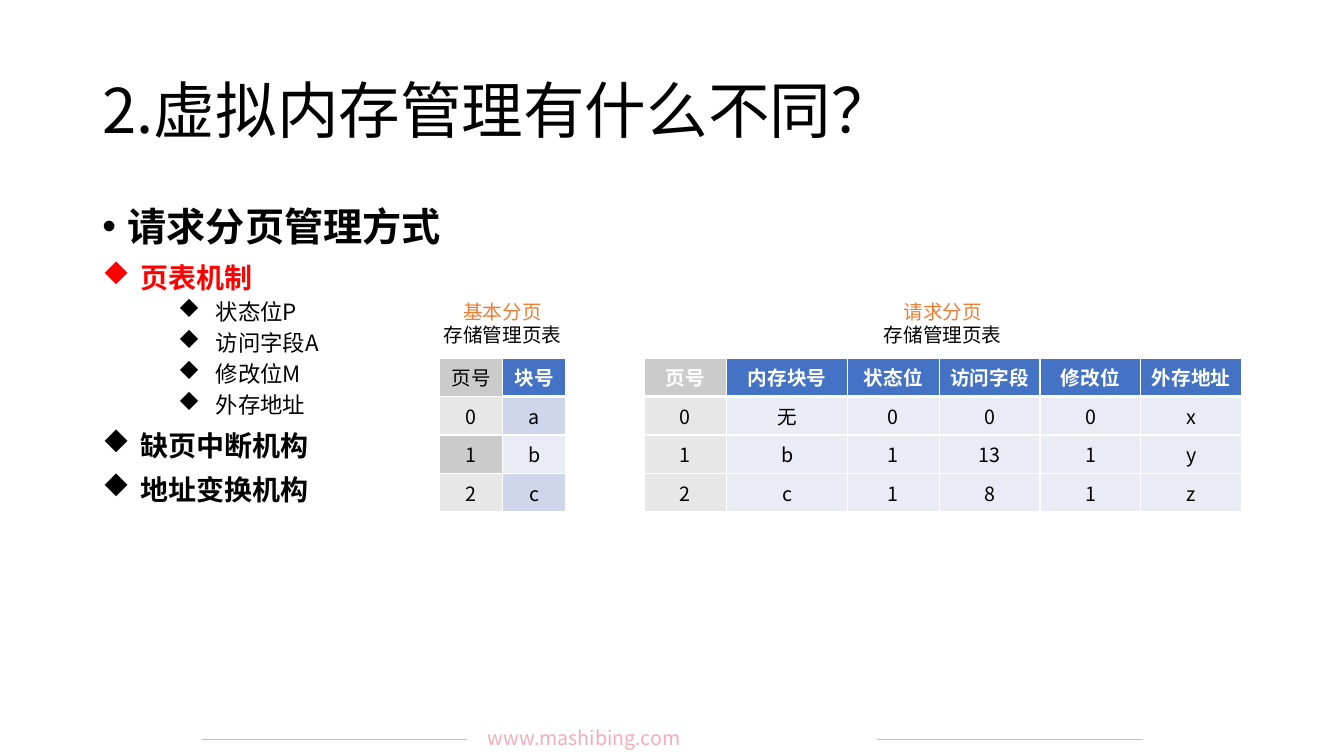
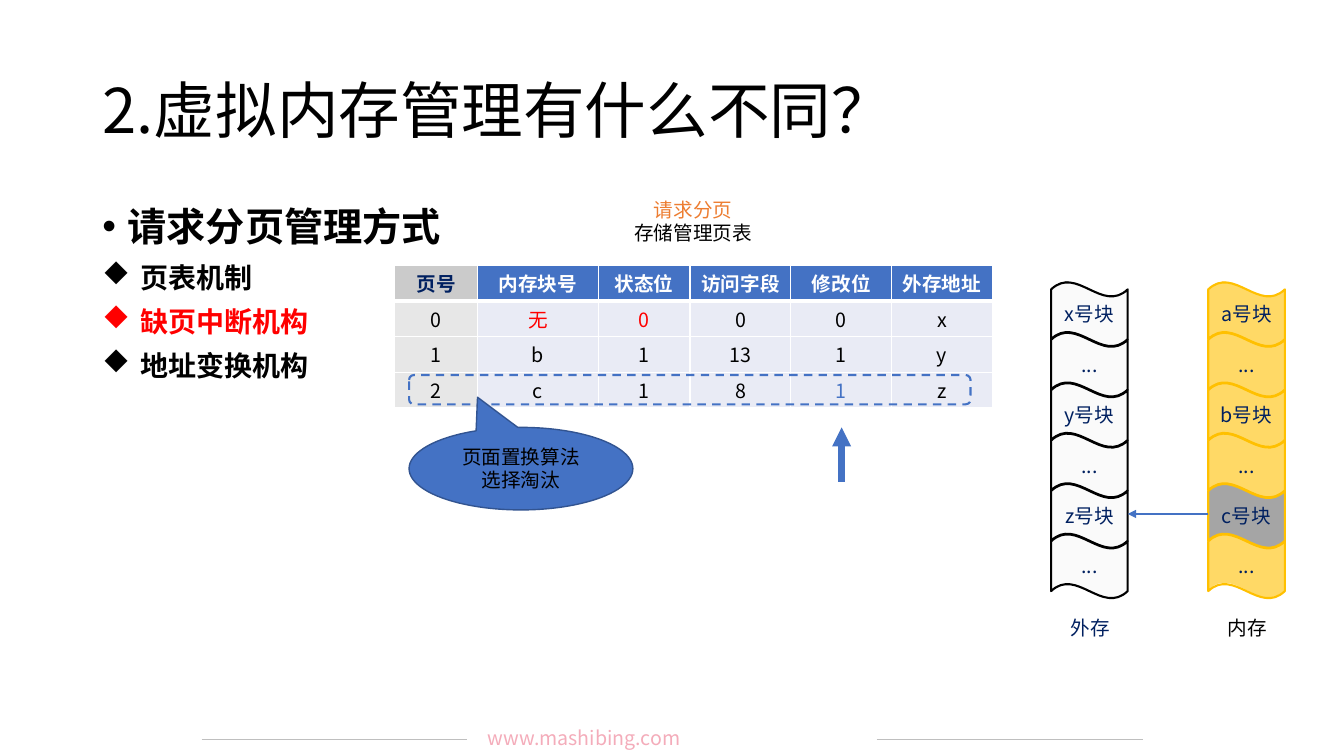
"""Build two slides on demand paging in virtual memory management."""
from lxml import etree
from pptx import Presentation
from pptx.dml.color import RGBColor
from pptx.enum.dml import MSO_LINE
from pptx.enum.shapes import MSO_CONNECTOR, MSO_SHAPE
from pptx.enum.text import MSO_ANCHOR, PP_ALIGN
from pptx.oxml.ns import qn
from pptx.util import Cm, Pt

LEFT, CENTER = PP_ALIGN.LEFT, PP_ALIGN.CENTER
MIDDLE = MSO_ANCHOR.MIDDLE
STRAIGHT = MSO_CONNECTOR.STRAIGHT
WAVE, ROUNDED = MSO_SHAPE.WAVE, MSO_SHAPE.ROUNDED_RECTANGLE
CALLOUT = MSO_SHAPE.OVAL_CALLOUT
DASH = MSO_LINE.DASH

FONT = "Noto Sans CJK SC"
BLACK = RGBColor(0x00, 0x00, 0x00)
WHITE = RGBColor(0xFF, 0xFF, 0xFF)
RED = RGBColor(0xFF, 0x00, 0x00)
NAVY = RGBColor(0x00, 0x20, 0x60)
BLUE = RGBColor(0x44, 0x72, 0xC4)
DARK_BLUE = RGBColor(0x32, 0x54, 0x91)
ORANGE = RGBColor(0xED, 0x7D, 0x31)
PINK = RGBColor(0xF4, 0xAC, 0xBA)
RULE_GREY = RGBColor(0xBF, 0xBF, 0xBF)
KEY_HEAD = RGBColor(0xCB, 0xCB, 0xCB)
KEY_BODY = RGBColor(0xE7, 0xE7, 0xE7)
BAND_DARK = RGBColor(0xCF, 0xD5, 0xEA)
BAND_LIGHT = RGBColor(0xE9, 0xEB, 0xF5)
PAPER = RGBColor(0xFA, 0xFA, 0xFA)
YELLOW = RGBColor(0xFF, 0xD9, 0x66)
GOLD = RGBColor(0xFF, 0xC0, 0x00)
GREY = RGBColor(0xA5, 0xA5, 0xA5)


def write(frame, text, size=14, color=BLACK, bold=False, align=CENTER, spacing=Pt(16.4),
          before=0, bullet=None, indent=0, hanging=0):
    """Write text into the empty first paragraph of a frame, or into a new one."""
    paragraph = frame.paragraphs[0]
    if paragraph.runs:
        paragraph = frame.add_paragraph()
        paragraph.space_before = Pt(before)
    if bullet:
        bullet_font, bullet_char = bullet
        properties = paragraph._p.get_or_add_pPr()
        properties.set("marL", str(Cm(indent)))
        properties.set("indent", str(-Cm(hanging)))
        etree.SubElement(properties, qn("a:buFont"), typeface=bullet_font)
        etree.SubElement(properties, qn("a:buChar"), char=bullet_char)
    paragraph.alignment = align
    paragraph.line_spacing = spacing
    run = paragraph.add_run()
    run.text = text
    run.font.size = Pt(size)
    run.font.bold = bold
    run.font.color.rgb = color
    run.font.name = FONT
    etree.SubElement(run._r.get_or_add_rPr(), qn("a:ea"), typeface=FONT)


def add_page_table(slide, left, top, widths, row_height, rows, fills, head=True, colors=None):
    """Add a page table; each row has one fill for its first column and one for the rest."""
    table = slide.shapes.add_table(len(rows), len(widths), Cm(left), Cm(top),
                                   Cm(sum(widths)), Cm(row_height * len(rows))).table
    table.first_row = table.horz_banding = False
    for column, width in zip(table.columns, widths):
        column.width = Cm(width)
    for r, row in enumerate(rows):
        table.rows[r].height = Cm(row_height)
        for c, text in enumerate(row):
            cell = table.cell(r, c)
            cell.margin_top = cell.margin_bottom = 0
            cell.vertical_anchor = MIDDLE
            for side in "LRTB":
                thick = head and (r, side) in ((0, "B"), (1, "T"))
                border = etree.SubElement(cell._tc.get_or_add_tcPr(), qn("a:ln" + side),
                                          w=str(Pt(3 if thick else 1)))
                paint = etree.SubElement(border, qn("a:solidFill"))
                etree.SubElement(paint, qn("a:srgbClr"), val=str(WHITE))
            cell.fill.solid()
            cell.fill.fore_color.rgb = fills[r][min(c, 1)]
            heading = head and r == 0
            color = (colors or {}).get((r, c), WHITE if heading else BLACK)
            write(cell.text_frame, text, color=color, bold=heading, spacing=1.0)


prs = Presentation()
prs.slide_width, prs.slide_height = Cm(33.87), Cm(19.05)
layout = prs.slide_layouts[5]
paging, fault = slides = [prs.slides.add_slide(layout) for _ in range(2)]

footer = paging.shapes.add_textbox(Cm(12.04), Cm(18.19), Cm(9.78), Cm(0.86))
write(footer.text_frame, "www.mashibing.com", color=PINK, align=LEFT)
layout.shapes.element.append(footer.element)

ARROWS = [
    (fault, 30.45, 12.95, 28.42, 12.95, BLUE, 1.5, True),
    (fault, 21.21, 12.14, 21.21, 10.77, BLUE, 4.5, True),
]
RULES = [(paging, x, 18.62, x + 6.7, 18.62, RULE_GREY, 0.5, False) for x in (5.08, 22.1)]

TOPIC = "请求分页管理方式"
MECHANISMS = ["页表机制", "缺页中断机构", "地址变换机构"]
PAGE_TABLE_FIELDS = ["状态位P", "访问字段A", "修改位M", "外存地址"]
DIAMOND = ("Wingdings", "u")

for slide, current in zip(slides, MECHANISMS):
    title = slide.shapes.title
    title.left, title.top, title.width, title.height = Cm(2.33), Cm(1.01), Cm(29.21), Cm(3.68)
    title.text_frame.vertical_anchor = MIDDLE
    write(title.text_frame, "2.虚拟内存管理有什么不同？", size=44, align=LEFT, spacing=0.9)

    outline = slide.shapes.add_textbox(Cm(2.33), Cm(5.07), Cm(29.21), Cm(12.95)).text_frame
    outline.word_wrap = True
    write(outline, TOPIC, size=28, bold=True, align=LEFT, spacing=Pt(31),
          bullet=("Arial", "•"), indent=0.64, hanging=0.64)
    for mechanism in MECHANISMS:
        write(outline, mechanism, size=20, color=RED if mechanism == current else BLACK,
              bold=True, align=LEFT, spacing=Pt(21.5), before=10,
              bullet=DIAMOND, indent=0.95, hanging=0.95)
        if slide is paging and mechanism == current:
            for field in PAGE_TABLE_FIELDS:
                write(outline, field, size=16, align=LEFT, spacing=Pt(17.2), before=5,
                      bullet=DIAMOND, indent=2.86, hanging=0.95)

DEMAND_ROWS = [
    ["页号", "内存块号", "状态位", "访问字段", "修改位", "外存地址"],
    ["0", "无", "0", "0", "0", "x"],
    ["1", "b", "1", "13", "1", "y"],
    ["2", "c", "1", "8", "1", "z"],
]
DEMAND_WIDTHS = [2.08, 3.05, 2.31, 2.54, 2.54, 2.54]
DEMAND_FILLS = [(KEY_HEAD, BLUE)] + [(KEY_BODY, BAND_LIGHT)] * 3
add_page_table(paging, 16.23, 9.02, DEMAND_WIDTHS, 0.97, DEMAND_ROWS, DEMAND_FILLS)
add_page_table(paging, 11.08, 9.02, [1.59], 0.97, [["页号"], ["0"], ["1"], ["2"]],
               [(KEY_HEAD,), (KEY_BODY,)] * 2, head=False)
add_page_table(paging, 12.67, 9.02, [1.59], 0.97, [["块号"], ["a"], ["b"], ["c"]],
               [(BLUE,), (BAND_DARK,), (BAND_LIGHT,), (BAND_DARK,)])

CAPTIONS = [
    (paging, "基本分页", 10.67, 7.44, 3.99),
    (paging, "请求分页", 20.9, 7.44, 5.72),
    (fault, "请求分页", 14.61, 4.87, 5.72),
]
for slide, scheme, left, top, width in CAPTIONS:
    caption = slide.shapes.add_textbox(Cm(left), Cm(top), Cm(width), Cm(1.45)).text_frame
    caption.word_wrap = True
    write(caption, scheme, color=ORANGE)
    write(caption, "存储管理页表")

STORES = [
    ("外存", 26.49, "xyz", BLACK, PAPER, BLACK, NAVY),
    ("内存", 30.45, "abc", YELLOW, None, GOLD, BLACK),
]
SHAPES = []
for store, left, blocks, back, fill, edge, label_color in STORES:
    SHAPES.append((WAVE, left, 7.09, 1.93, 7.97, [0.024, 0], back, None, 0, []))
    for i in range(6):
        block = "..." if i % 2 else blocks[i // 2] + "号块"
        SHAPES.append((WAVE, left, 7.11 + 1.27 * i, 1.93, 1.62, [0.113, 0],
                       GREY if block == "c号块" else fill, edge, 1.5, [(block, NAVY)]))
    label = fault.shapes.add_textbox(Cm(left), Cm(15.42), Cm(1.98), Cm(0.86)).text_frame
    label.word_wrap = True
    write(label, store, color=label_color)

add_page_table(fault, 9.95, 6.68, DEMAND_WIDTHS, 0.9, DEMAND_ROWS, DEMAND_FILLS,
               colors={(0, 0): NAVY, (1, 1): RED, (1, 2): RED, (3, 4): BLUE})

SHAPES += [
    (ROUNDED, 10.31, 9.45, 14.15, 0.74, [], None, BLUE, 1.5, []),
    (CALLOUT, 10.31, 10.77, 5.64, 2.08, [-0.194, -0.865], BLUE, DARK_BLUE, 1,
     [("页面置换算法", BLACK), ("选择淘汰", BLACK)]),
]
for kind, left, top, width, height, adjustments, fill, edge, weight, lines in SHAPES:
    shape = fault.shapes.add_shape(kind, Cm(left), Cm(top), Cm(width), Cm(height))
    shape.shadow.inherit = False
    for i, adjustment in enumerate(adjustments):
        shape.adjustments[i] = adjustment
    if fill is None:
        shape.fill.background()
    else:
        shape.fill.solid()
        shape.fill.fore_color.rgb = fill
    if edge is None:
        shape.line.fill.background()
    else:
        shape.line.color.rgb = edge
        shape.line.width = Pt(weight)
    if kind == ROUNDED:
        shape.line.dash_style = DASH
    shape.text_frame.vertical_anchor = MIDDLE
    for text, color in lines:
        write(shape.text_frame, text, color=color)

for slide, x1, y1, x2, y2, color, weight, pointed in RULES + ARROWS:
    stroke = slide.shapes.add_connector(STRAIGHT, Cm(x1), Cm(y1), Cm(x2), Cm(y2))
    stroke.line.color.rgb = color
    stroke.line.width = Pt(weight)
    etree.SubElement(stroke.element.spPr, qn("a:effectLst"))
    if pointed:
        etree.SubElement(stroke.line._get_or_add_ln(), qn("a:tailEnd"), type="triangle")
    else:
        layout.shapes.element.append(stroke.element)

prs.save("out.pptx")
